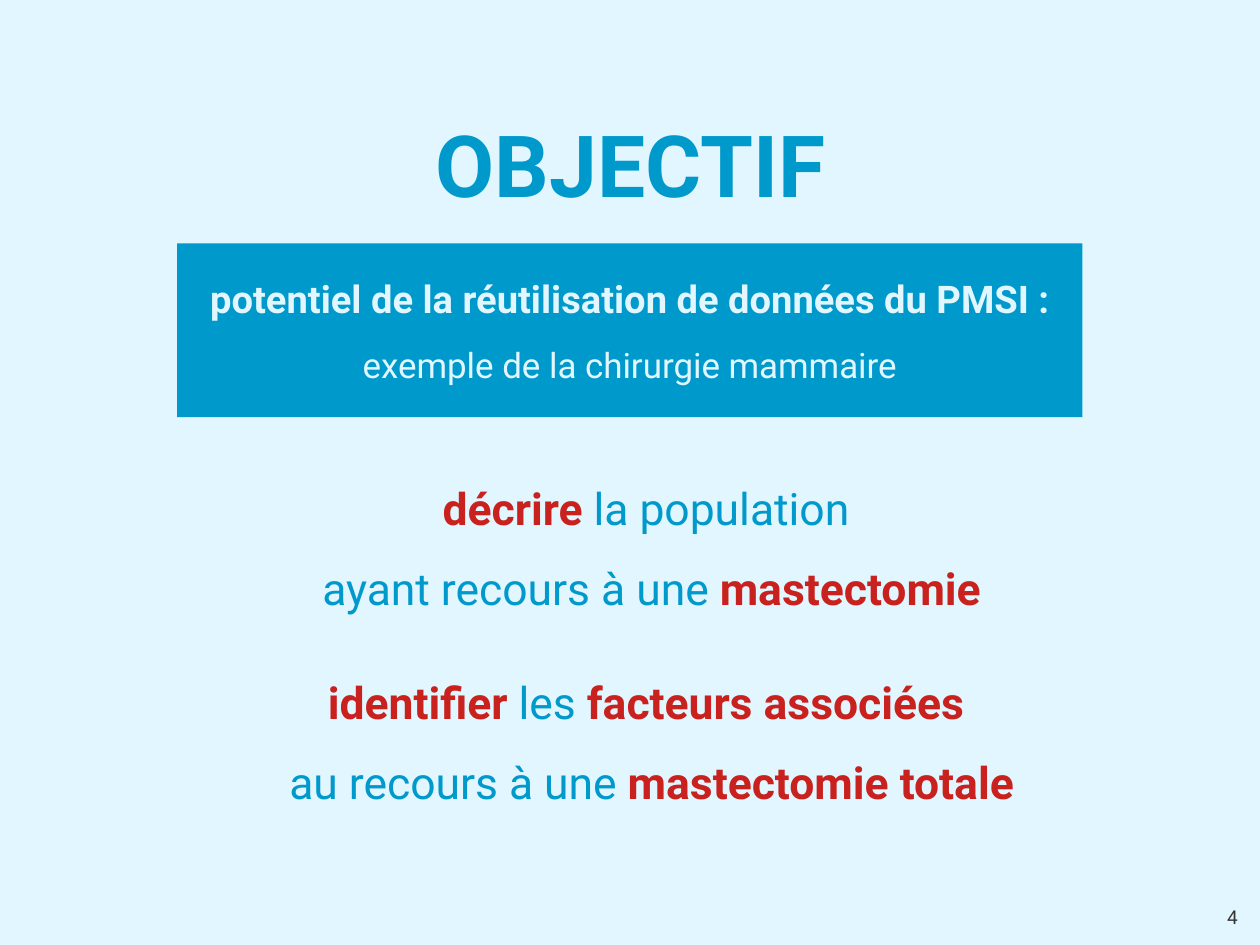
from pptx import Presentation
from pptx.dml.color import RGBColor
from pptx.enum import shapes, text
from pptx.util import Cm, Inches, Pt

HUES = {"pale": "E1F6FF", "blue": "0099CC", "red": "C9211E", "dark": "333333"}
MID, TOP = text.MSO_ANCHOR.MIDDLE, text.MSO_ANCHOR.TOP
MARGINS = ("margin_left", "margin_top", "margin_right", "margin_bottom")


def paint(fill, hue):
    """Give a fill one solid colour."""
    fill.solid()
    fill.fore_color.rgb = RGBColor.from_string(HUES[hue])


def write(shape, lines, anchor=MID, **form):
    """Write lines of (words, size, hue, bold) runs into a shape."""
    frame = shape.text_frame
    frame.word_wrap = True
    frame.vertical_anchor = anchor
    for side in MARGINS:
        setattr(frame, side, 0)
    form = {"alignment": text.PP_ALIGN.CENTER, **form}
    for i, line in enumerate(lines):
        para = frame.add_paragraph() if i else frame.paragraphs[0]
        for name, value in form.items():
            if i or name != "space_before":
                setattr(para, name, value)
        for words, size, hue, bold in line:
            run = para.add_run()
            run.text = words
            font = {"name": "Roboto", "size": Pt(size), "bold": bold}
            for name, value in font.items():
                setattr(run.font, name, value)
            run.font.color.rgb = RGBColor.from_string(HUES[hue])


def panel(slide, area, hue, lines, **form):
    """Add a filled rectangle with text."""
    shape = slide.shapes.add_shape(
        shapes.MSO_SHAPE.RECTANGLE, *map(Inches, area))
    shape.shadow.inherit = False
    paint(shape.fill, hue)
    shape.line.fill.background()
    write(shape, lines, **form)


def label(slide, area, lines, **form):
    """Add a plain text box."""
    write(slide.shapes.add_textbox(*map(Inches, area)), lines, **form)


def aim(slide, top, height, lines):
    """Add one aim, with its key words in bold red."""
    runs = [[(words, 28, "red" if key else "blue", key)
             for words, key in line] for line in lines]
    label(slide, (0.7, top, 10, height), runs, line_spacing=1.5)


def main():
    """Build the slide."""
    deck = Presentation()
    deck.slide_width, deck.slide_height = Cm(28), Cm(21)
    slide = deck.slides.add_slide(deck.slide_layouts[6])
    paint(slide.background.fill, "pale")

    panel(slide, (1.34, 0.85, 8.35, 1.15), "pale",
          [[("OBJECTIF", 54, "blue", True)]])
    panel(slide, (1.55, 2.13, 7.92, 1.52), "blue", [
        [("potentiel de la réutilisation de données du PMSI :",
          24, "pale", True)],
        [("exemple de la chirurgie mammaire", 22, "pale", False)],
    ], space_before=Pt(14.2))

    aim(slide, 3.88, 1.59, [
        [("décrire", True), (" la population ", False)],
        [("ayant recours à une ", False), ("mastectomie", True)],
    ])
    aim(slide, 5.55, 1.65, [
        [("identifier", True), (" les ", False),
         ("facteurs associées ", True)],
        [("au recours à une ", False), ("mastectomie totale", True)],
    ])
    label(slide, (8.26, 7.92, 2.57, 0.23), [[("4", 12, "dark", False)]],
          anchor=TOP, alignment=text.PP_ALIGN.RIGHT)
    deck.save("out.pptx")


if __name__ == "__main__":
    main()
